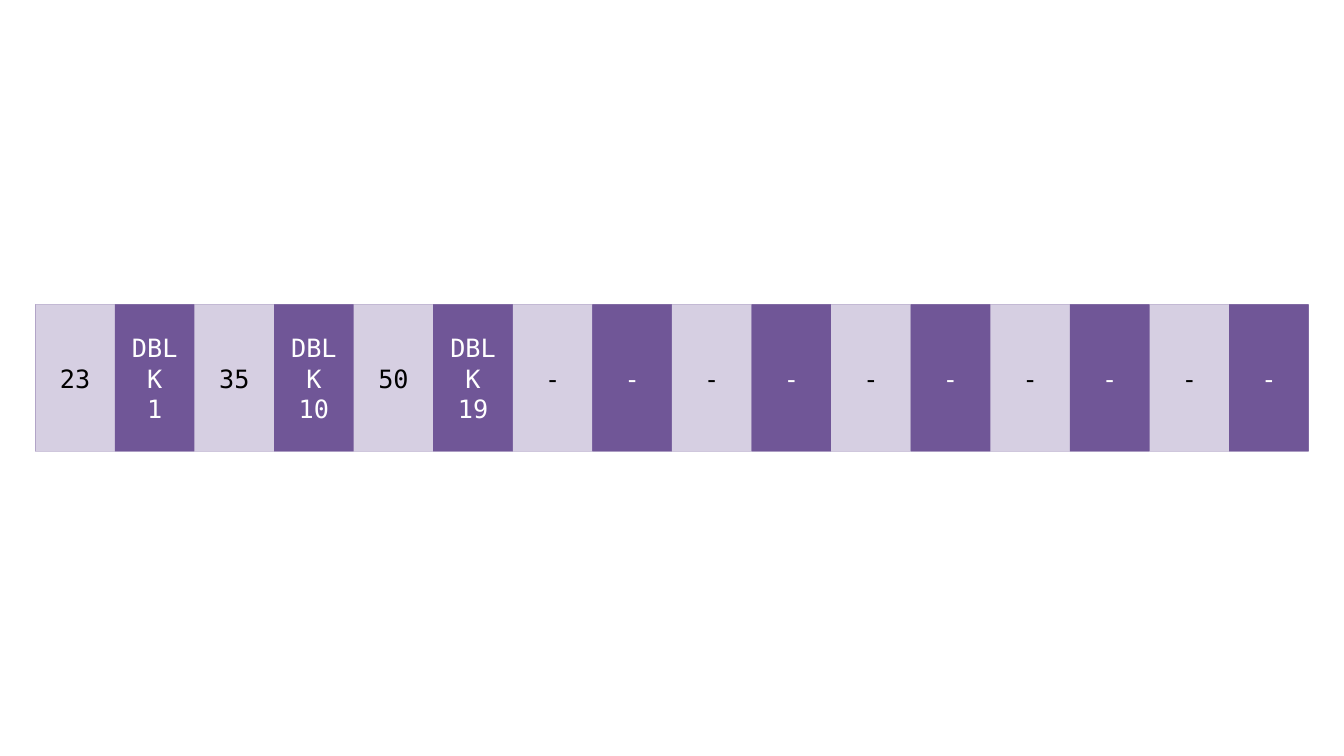
from pptx import Presentation
from pptx.dml.color import RGBColor
from pptx.enum.shapes import MSO_SHAPE
from pptx.enum.text import MSO_ANCHOR, PP_ALIGN
from pptx.util import Inches, Pt

COLORS = {"key": "D6CFE2", "block": "705697", "key_text": "000000", "block_text": "FFFFFF"}
FONT = {"name": "DejaVu Sans Mono", "size": Pt(18)}
FRAME = {"word_wrap": True, "vertical_anchor": MSO_ANCHOR.MIDDLE}
ENTRIES = [("23", "DBLK\n1"), ("35", "DBLK\n10"), ("50", "DBLK\n19")] + [("-", "-")] * 5


def set_attributes(target, values):
    for name, value in values.items():
        setattr(target, name, value)


def add_rectangle(group, box, kind):
    shape = group.shapes.add_shape(MSO_SHAPE.RECTANGLE, *box)
    shape.shadow.inherit = False
    shape.fill.solid()
    shape.fill.fore_color.rgb = RGBColor.from_string(COLORS[kind])
    shape.line.fill.background()
    return shape


def add_cell(group, box, kind, text):
    frame = add_rectangle(group, box, kind).text_frame
    set_attributes(frame, FRAME)
    frame.text = text
    for paragraph in frame.paragraphs:
        paragraph.alignment = PP_ALIGN.CENTER
        font = paragraph.runs[0].font
        set_attributes(font, FONT)
        font.color.rgb = RGBColor.from_string(COLORS[kind + "_text"])


def add_index_node(slide, box, entries):
    """Draw one strip of alternating key and block cells across the box."""
    left, top, width, height = box
    group = slide.shapes.add_group_shape()
    add_rectangle(group, box, "block")
    cell_width = width / (2 * len(entries))
    cells = [cell for key, block in entries for cell in (("key", key), ("block", block))]
    for column, (kind, text) in enumerate(cells):
        cell_left = round(left + column * cell_width)
        add_cell(group, (cell_left, top, round(cell_width), height), kind, text)


def main():
    presentation = Presentation()
    set_attributes(presentation, {"slide_width": Inches(13.33), "slide_height": Inches(7.5)})
    slide = presentation.slides.add_slide(presentation.slide_layouts[6])
    add_index_node(slide, [Inches(length) for length in (0.35, 3.02, 12.63, 1.46)], ENTRIES)
    presentation.save("out.pptx")


if __name__ == "__main__":
    main()
